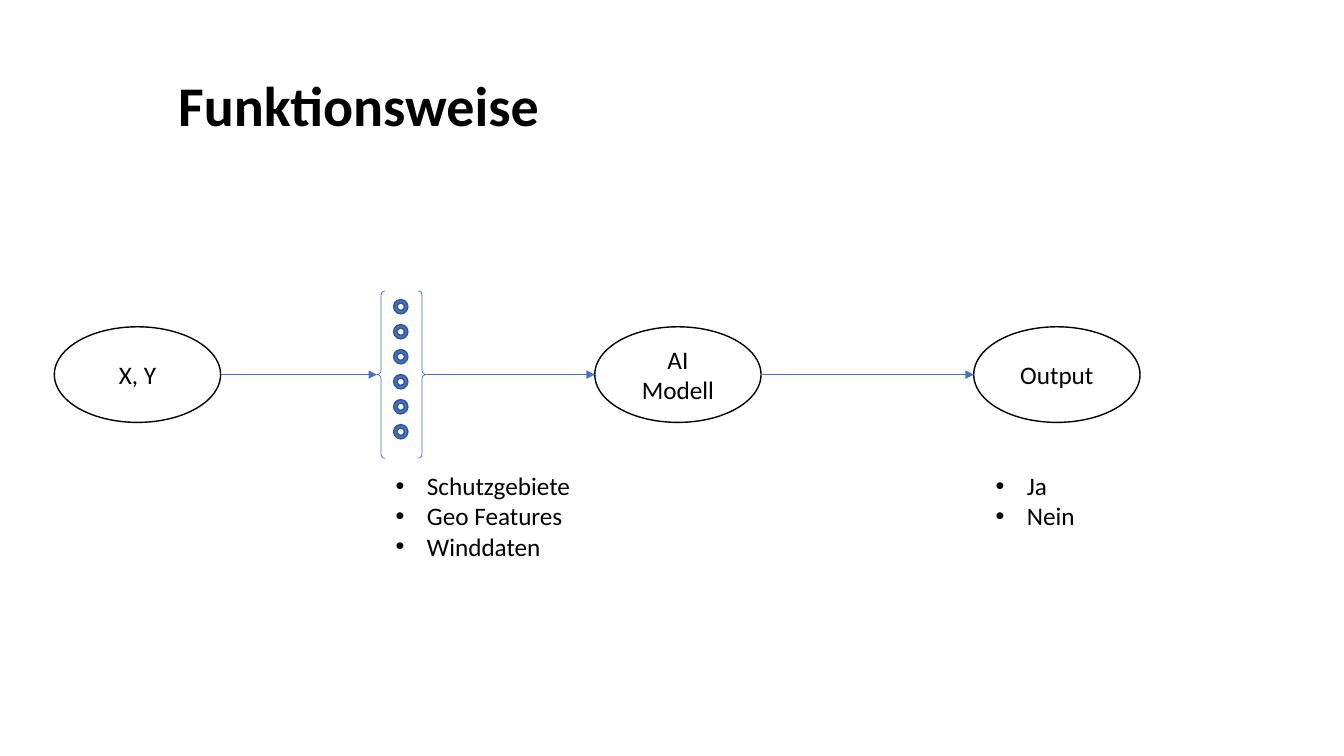
"""Build the "Funktionsweise" slide: a flow from coordinates through features and a model to the output."""
import pptx
import pptx.dml.color
import pptx.enum.shapes
import pptx.enum.text
import pptx.oxml
import pptx.oxml.ns
import pptx.util
from pptx.util import Cm

TITLE = "Funktionsweise"
NODES = [("X, Y", 1.37), ("AI Modell", 14.99), ("Output", 24.54)]
LISTS = [
    (["Schutzgebiete", "Geo Features", "Winddaten"], 9.72, 2.57),
    (["Ja", "Nein"], 24.84, 1.8),
]
FEATURE_COUNT = 6

THEME = {
    "font": "Calibri", "title": 40, "body": 18,
    "text": "000000", "paper": "FFFFFF", "accent": "4472C4", "edge": "325491",
}
AXIS_Y = 9.44
NODE_W, NODE_H = 4.19, 2.41
BRACE_X, BRACE_W, BRACE_H = 9.5, 1.24, 4.22
DOT, DOT_X, DOT_TOP, DOT_PITCH = 0.36, 9.92, 7.55, 0.63
LIST_TOP, LIST_W, INDENT = 11.73, 5.94, 0.79


def rgb(name):
    return pptx.dml.color.RGBColor.from_string(THEME[name])


def style_text(p, size, bold=False):
    for r in p.runs:
        r.font.name = THEME["font"]
        r.font.size = pptx.util.Pt(THEME[size])
        r.font.bold = bold
        r.font.color.rgb = rgb("text")


def add_shape(s, kind, x, y, w, h, line, width, fill=None):
    sp = s.shapes.add_shape(kind, Cm(x), Cm(y), Cm(w), Cm(h))
    sp.shadow.inherit = False
    sp.line.color.rgb = rgb(line)
    sp.line.width = pptx.util.Pt(width)
    if fill:
        sp.fill.solid()
        sp.fill.fore_color.rgb = rgb(fill)
    else:
        sp.fill.background()
    return sp


def add_node(s, text, x):
    sp = add_shape(s, pptx.enum.shapes.MSO_SHAPE.OVAL, x, AXIS_Y - NODE_H / 2,
                   NODE_W, NODE_H, "text", 1, "paper")
    tf = sp.text_frame
    tf.word_wrap = True
    tf.vertical_anchor = pptx.enum.text.MSO_ANCHOR.MIDDLE
    tf.text = text
    p = tf.paragraphs[0]
    p.alignment = pptx.enum.text.PP_ALIGN.CENTER
    style_text(p, "body")


def add_arrow(s, x1, x2):
    cx = s.shapes.add_connector(pptx.enum.shapes.MSO_CONNECTOR.STRAIGHT,
                                Cm(x1), Cm(AXIS_Y), Cm(x2), Cm(AXIS_Y))
    cx.line.color.rgb = rgb("accent")
    cx.line.width = pptx.util.Pt(0.5)
    ns = pptx.oxml.ns.nsdecls("a")
    spPr = cx._element.spPr
    spPr.find(pptx.oxml.ns.qn("a:ln")).append(
        pptx.oxml.parse_xml(f'<a:tailEnd {ns} type="triangle"/>'))
    spPr.append(pptx.oxml.parse_xml(f'<a:effectLst {ns}/>'))
    return cx


def add_text(s, lines, x, y, w, h):
    tf = s.shapes.add_textbox(Cm(x), Cm(y), Cm(w), Cm(h)).text_frame
    tf.word_wrap = True
    tf.text = "\n".join(lines)
    return tf


def add_list(s, lines, x, h):
    tf = add_text(s, lines, x, LIST_TOP, LIST_W, h)
    tf.auto_size = pptx.enum.text.MSO_AUTO_SIZE.SHAPE_TO_FIT_TEXT
    ns = pptx.oxml.ns.nsdecls("a")
    for p in tf.paragraphs:
        style_text(p, "body")
        pPr = p._p.get_or_add_pPr()
        pPr.set("marL", str(Cm(INDENT)))
        pPr.set("indent", str(-Cm(INDENT)))
        pPr.append(pptx.oxml.parse_xml(f'<a:buFont {ns} typeface="Arial"/>'))
        pPr.append(pptx.oxml.parse_xml(f'<a:buChar {ns} char="•"/>'))


def main():
    prs = pptx.Presentation()
    prs.slide_width, prs.slide_height = Cm(33.87), Cm(19.05)
    s = prs.slides.add_slide(prs.slide_layouts[6])

    tf = add_text(s, [TITLE], 4.24, 0.84, 25.4, 2.79)
    tf.vertical_anchor = pptx.enum.text.MSO_ANCHOR.BOTTOM
    tf.paragraphs[0].line_spacing = 0.9
    style_text(tf.paragraphs[0], "title", bold=True)

    for text, x in NODES:
        add_node(s, text, x)

    brace = add_shape(s, pptx.enum.shapes.MSO_SHAPE.DOUBLE_BRACE, BRACE_X,
                      AXIS_Y - BRACE_H / 2, BRACE_W, BRACE_H, "accent", 0.5)
    for i in range(FEATURE_COUNT):
        add_shape(s, pptx.enum.shapes.MSO_SHAPE.DONUT, DOT_X,
                  DOT_TOP + i * DOT_PITCH, DOT, DOT, "edge", 1, "accent")

    source, model, output = (x for _, x in NODES)
    add_arrow(s, source + NODE_W, BRACE_X).end_connect(brace, 1)
    add_arrow(s, BRACE_X + BRACE_W, model).begin_connect(brace, 3)
    add_arrow(s, model + NODE_W, output)

    for lines, x, h in LISTS:
        add_list(s, lines, x, h)

    prs.save("out.pptx")


if __name__ == "__main__":
    main()
